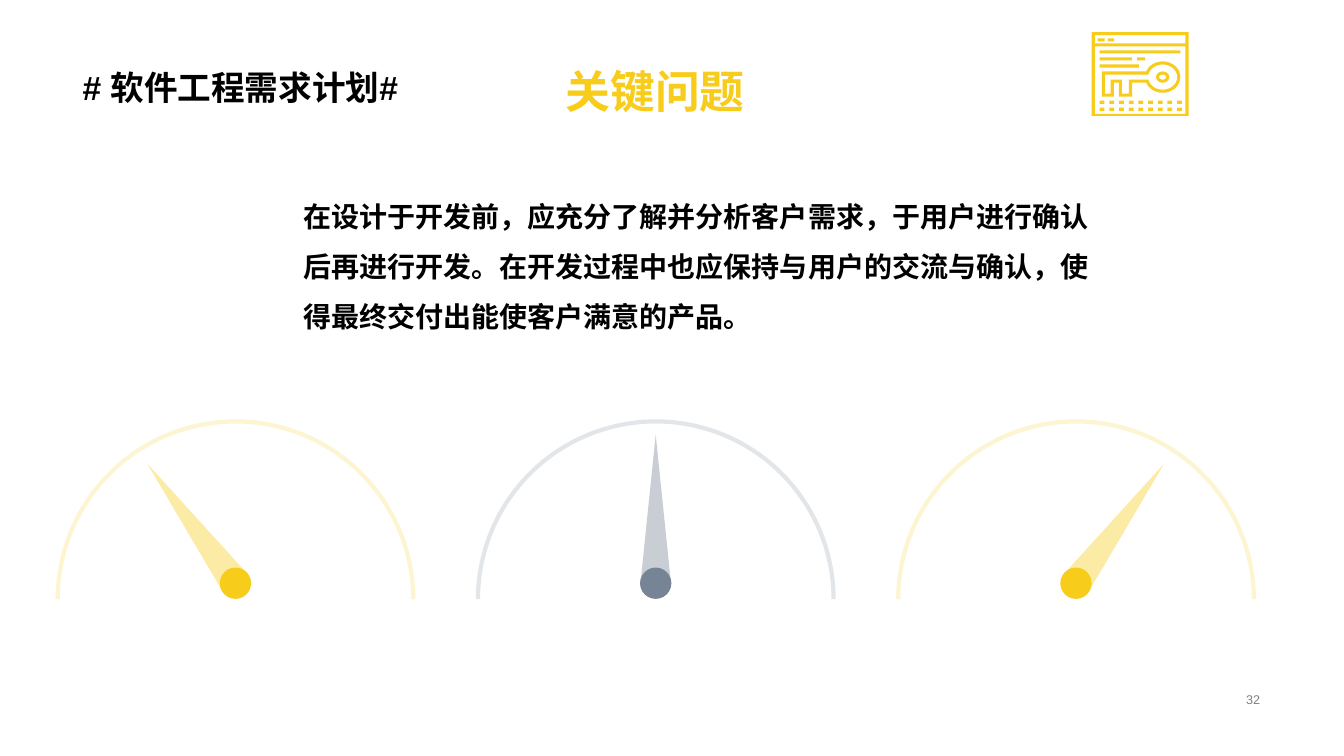
from math import cos, sin, radians, asin, pi
from lxml import etree
from pptx import Presentation
from pptx.dml.color import RGBColor
from pptx.enum import shapes, text
from pptx.oxml import ns
from pptx.util import Pt

GOLD, SLATE = "F8CC1B", "778495"
KINDS = shapes.MSO_AUTO_SHAPE_TYPE
ALIGN, ANCHOR = text.PP_ALIGN, text.MSO_ANCHOR


def color(code):
    return RGBColor.from_string(code)


def rect(x, y, w, h):
    return [(x, y), (x + w, y), (x + w, y + h), (x, y + h)]


def oval(x, y, rx, ry, start=0, end=2 * pi, steps=40):
    """Points along an ellipse, angles running clockwise from the right."""
    turns = [start + (end - start) * i / steps for i in range(steps + 1)]
    return [(x + rx * cos(t), y + ry * sin(t)) for t in turns]


def key(inset):
    """Outline of the key, shrunk by inset."""
    x, y, rx, ry = 50.7, 32.1, 12.6 - inset, 11.2 - inset
    neck, foot = 4 - inset, 46.1 - inset
    bend = asin(neck / ry)
    head = oval(x, y, rx, ry, -pi + bend, pi - bend)
    a, b, c, d = 28.8 - inset, 19.4 + inset, 15.8 - inset, 7.2 + inset
    low = y + neck
    return head + [(a, low), (a, foot), (b, foot), (b, low),
                   (c, low), (c, foot), (d, foot), (d, y - neck)]


class Deck:
    """Holds the fonts and the current slide."""
    latin, asian = "Arial", "Noto Sans CJK SC"

    def __init__(self):
        self.prs = Presentation()
        self.prs.slide_width, self.prs.slide_height = Pt(960), Pt(540)
        self.slide = self.prs.slides.add_slide(self.prs.slide_layouts[5])
        self.shapes = self.slide.shapes

    def style(self, box, words, size, ink="000000", bold=True, align=ALIGN.LEFT,
              anchor=ANCHOR.MIDDLE, space=1.0, font=None):
        """Put formatted words in a box."""
        frame = box.text_frame
        frame.text = words
        frame.word_wrap = True
        frame.auto_size = text.MSO_AUTO_SIZE.NONE
        frame.vertical_anchor = anchor
        para = frame.paragraphs[0]
        para.alignment, para.line_spacing = align, space
        run = para.runs[0]
        run.font.name = font or self.latin
        run.font.size, run.font.bold = Pt(size), bold
        run.font.color.rgb = color(ink)
        props = run._r.get_or_add_rPr()
        etree.SubElement(props, ns.qn("a:ea"), typeface=self.asian)

    def title(self, x, y, w, h, words, size, **looks):
        box = self.shapes.title
        box.left, box.top, box.width, box.height = Pt(x), Pt(y), Pt(w), Pt(h)
        self.style(box, words, size, **looks)

    def label(self, x, y, w, h, words, size, **looks):
        box = self.shapes.add_textbox(Pt(x), Pt(y), Pt(w), Pt(h))
        self.style(box, words, size, **looks)

    def paint(self, shape, fill):
        shape.shadow.inherit = False
        shape.fill.solid()
        shape.fill.fore_color.rgb = color(fill)
        shape.line.fill.background()

    def outline(self, loops, fill, x=0, y=0):
        """Fill closed loops of points; inner loops become holes."""
        loops = [[(Pt(x + a), Pt(y + b)) for a, b in loop] for loop in loops]
        form = self.shapes.build_freeform(*loops[0][0])
        form.add_line_segments(loops[0][1:])
        for loop in loops[1:]:
            form.move_to(*loop[0])
            form.add_line_segments(loop[1:])
        self.paint(form.convert_to_shape(), fill)

    def dot(self, x, y, r, fill):
        size = Pt(2 * r)
        spot = self.shapes.add_shape(KINDS.OVAL, Pt(x - r), Pt(y - r), size, size)
        self.paint(spot, fill)

    def arch(self, x, y, r, ink):
        """Faint upper half circle around x, y."""
        size = Pt(2 * r)
        arc = self.shapes.add_shape(KINDS.ARC, Pt(x - r), Pt(y - r), size, size)
        arc.adjustments[0], arc.adjustments[1] = 108, 0
        arc.shadow.inherit = False
        arc.fill.background()
        arc.line.width = Pt(3)
        arc.line.color.rgb = color(ink)
        tint = arc._element.spPr.find(".//" + ns.qn("a:srgbClr"))
        etree.SubElement(tint, ns.qn("a:alpha"), val="20000")

    def gauge(self, x, angle, ink, pale):
        hub, turn = 416.6, radians(angle)
        needle = [(a * cos(turn) - b * sin(turn), a * sin(turn) + b * cos(turn))
                  for a, b in [(11, 1), (0, -106), (-11, 1)]]
        self.arch(x, 428, 127, ink)
        self.outline([needle], pale, x, hub)
        self.dot(x, hub, 11.2, ink)

    def icon(self, x, y, ink):
        """Browser window with a key."""
        thick = 2.2
        frame = [rect(0, 0, 69.2, 59.8), rect(thick, thick, 64.8, 5.8),
                 rect(thick, 10.1, 64.8, 48.3)]
        bars = [(4.3, 4.4, 4.9), (11.5, 4.4, 4.5), (5.7, 13, 57.6),
                (5.7, 18, 23), (32.4, 18, 5.8), (5.7, 23.1, 28)]
        bars += [(5.7 + 6.92 * i, top, 3.4) for top in (49, 54) for i in range(9)]
        lines = [rect(a, b, w, thick) for a, b, w in bars]
        eye = [oval(50.7, 32.1, 4.7, 4), oval(50.7, 32.1, 2.5, 1.8)]
        self.outline(frame + lines + [key(0), key(thick)] + eye, ink, x, y)


def main():
    deck = Deck()
    deck.title(51.8, 0, 855.4, 80.6, "# 软件工程需求计划#", 24,
               anchor=ANCHOR.BOTTOM, space=0.9)
    deck.label(706.3, 491, 200.9, 16.6, "32", 9, ink="808080", bold=False,
               align=ALIGN.RIGHT)
    deck.label(40.3, 41.8, 855.4, 46, "关键问题", 32, ink=GOLD, align=ALIGN.CENTER)
    deck.label(209.5, 126.7, 577.4, 112.3,
               "在设计于开发前，应充分了解并分析客户需求，于用户进行确认后再进行开发。"
               "在开发过程中也应保持与用户的交流与确认，使得最终交付出能使客户满意的产品。",
               20, anchor=ANCHOR.TOP, space=1.5, font=deck.asian)
    dials = [(-36.4, GOLD, "FCEBA4"), (0, SLATE, "C9CED5"), (36.4, GOLD, "FCEBA4")]
    for i, (angle, ink, pale) in enumerate(dials):
        deck.gauge(168.2 + 300.2 * i, angle, ink, pale)
    deck.icon(779.8, 23, GOLD)
    deck.prs.save("out.pptx")


if __name__ == "__main__":
    main()
